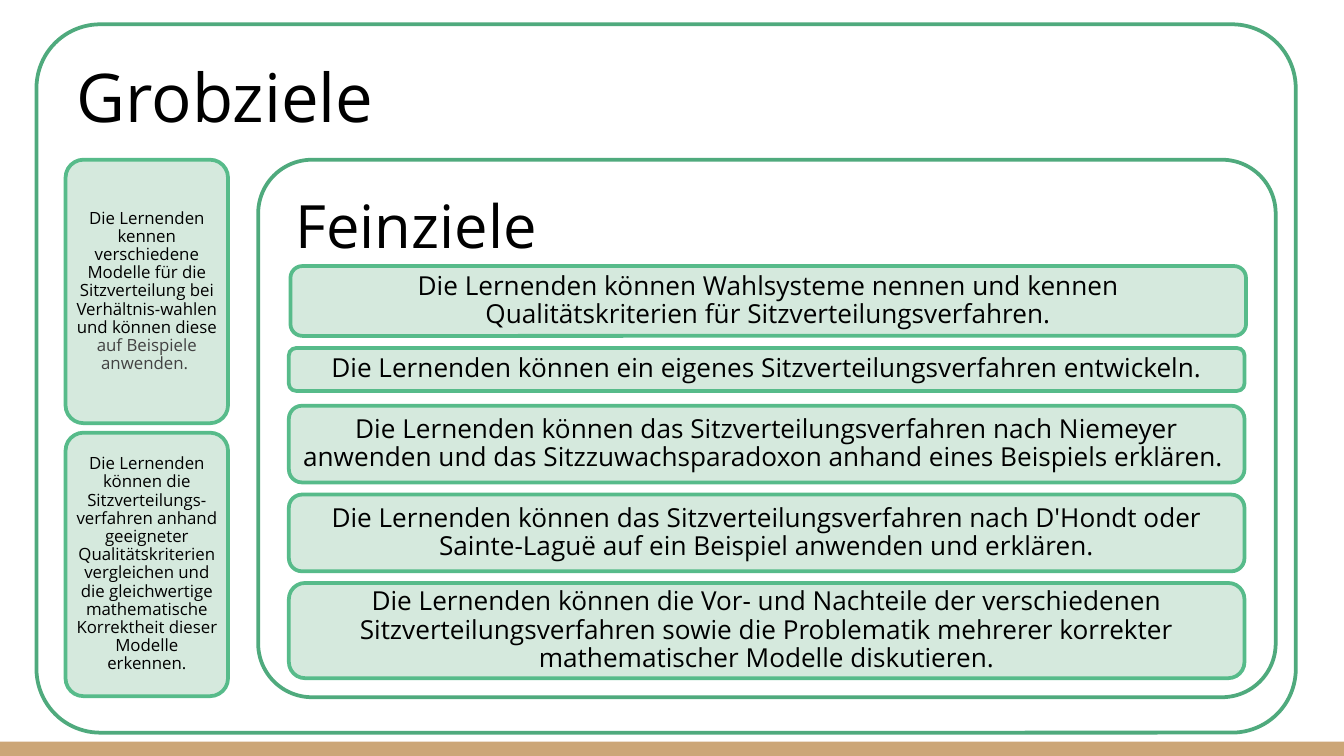
"""Build the slide of coarse and fine learning goals."""
from lxml import etree
from pptx import Presentation
from pptx.dml.color import RGBColor
from pptx.enum.shapes import MSO_SHAPE as SHAPE
from pptx.enum.text import MSO_ANCHOR as ANCHOR, PP_ALIGN as ALIGN
from pptx.oxml.ns import qn
from pptx.util import Cm, Pt


def rgb(value):
    return RGBColor.from_string(value)


def put_text(sp, runs, size, inset=0, anchor=ANCHOR.MIDDLE, align=ALIGN.CENTER):
    tf = sp.text_frame
    frame = dict(word_wrap=True, vertical_anchor=anchor)
    for side in ("left", "top", "right", "bottom"):
        frame["margin_" + side] = Cm(inset)
    for name, value in frame.items():
        setattr(tf, name, value)
    p = tf.paragraphs[0]
    p.alignment, p.line_spacing = align, 0.9
    for text, color in runs:
        r = p.add_run()
        r.text = text
        for name, value in dict(name="Open Sans", size=Pt(size), bold=False).items():
            setattr(r.font, name, value)
        r.font.color.rgb = rgb(color)


BLACK, GREY, MINT = "000000", "424242", "D1E7DA"
FRAME, EDGE = "4FAA7D", "57BB8A"

prs = Presentation()
prs.slide_width, prs.slide_height = Cm(25.4), Cm(14.29)
s = prs.slides.add_slide(prs.slide_layouts[5])

title = s.shapes.title
for name, value in dict(left=1.45, top=1.22, width=20, height=1.6).items():
    setattr(title, name, Cm(value))
put_text(title, [("Grobziele", BLACK)], 36, anchor=ANCHOR.TOP, align=ALIGN.LEFT)

strip = s.shapes.add_shape(SHAPE.RECTANGLE, 0, Cm(14.02), prs.slide_width, Cm(0.27))
strip.shadow.inherit = False
strip.fill.solid()
strip.fill.fore_color.rgb = rgb("CCA677")
strip.line.fill.background()

coarse_goals = [
    [("Die Lernenden kennen verschiedene Modelle für die Sitzverteilung bei "
      "Verhältnis-wahlen und können diese ", BLACK),
     ("auf Beispiele anwenden. ", GREY)],
    [("Die Lernenden können die Sitzverteilungs-verfahren anhand geeigneter "
      "Qualitätskriterien vergleichen und die gleichwertige mathematische "
      "Korrektheit dieser Modelle erkennen.", BLACK)],
]
fine_goals = [
    (5.49, 5.03, 1.32, 0.3, "Die Lernenden können Wahlsysteme nennen und kennen "
     "Qualitätskriterien für Sitzverteilungsverfahren."),
    (5.46, 6.58, 0.81, 0.15, "Die Lernenden können ein eigenes "
     "Sitzverteilungsverfahren entwickeln."),
    (5.46, 7.67, 1.45, 0.15, "Die Lernenden können das Sitzverteilungsverfahren nach "
     "Niemeyer anwenden und das Sitzzuwachsparadoxon anhand eines Beispiels erklären. "),
    (5.46, 9.35, 1.45, 0.15, "Die Lernenden können das Sitzverteilungsverfahren nach "
     "D'Hondt oder Sainte-Laguë auf ein Beispiel anwenden und erklären."),
    (5.46, 11.02, 1.8, 0.15, "Die Lernenden können die Vor- und Nachteile der "
     "verschiedenen Sitzverteilungsverfahren sowie die Problematik mehrerer "
     "korrekter mathematischer Modelle diskutieren."),
]

cards = [((0.69, 0.46, 23.8, 13.39), 0.09, None, FRAME, None)]
for i, runs in enumerate(coarse_goals):
    cards.append(((1.24, 3.02 + 5.16 * i, 3.07, 4.98), 0.11, MINT, EDGE,
                  dict(runs=runs, size=9, inset=0.08)))
cards.append(((4.88, 3.02, 19.23, 10.16), 0.1, None, FRAME,
              dict(runs=[("Feinziele", BLACK)], size=32, inset=0.41,
                   anchor=ANCHOR.TOP, align=ALIGN.LEFT)))
for left, top, height, inset, text in fine_goals:
    cards.append(((left, top, 18.06, height), 0.17, MINT, EDGE,
                  dict(runs=[(text, BLACK)], size=14, inset=inset)))

for box, radius, fill, edge, content in cards:
    sp = s.shapes.add_shape(SHAPE.ROUNDED_RECTANGLE, *map(Cm, box))
    sp.shadow.inherit = False
    sp.adjustments[0] = radius
    sp.line.color.rgb, sp.line.width = rgb(edge), Pt(2)
    if fill:
        sp.fill.solid()
        sp.fill.fore_color.rgb = rgb(fill)
        color = sp.fill._xPr.find(qn("a:solidFill"))[0]
        etree.SubElement(color, qn("a:alpha"), val="90000")
    else:
        sp.fill.background()
    if content:
        put_text(sp, **content)

prs.save("out.pptx")
